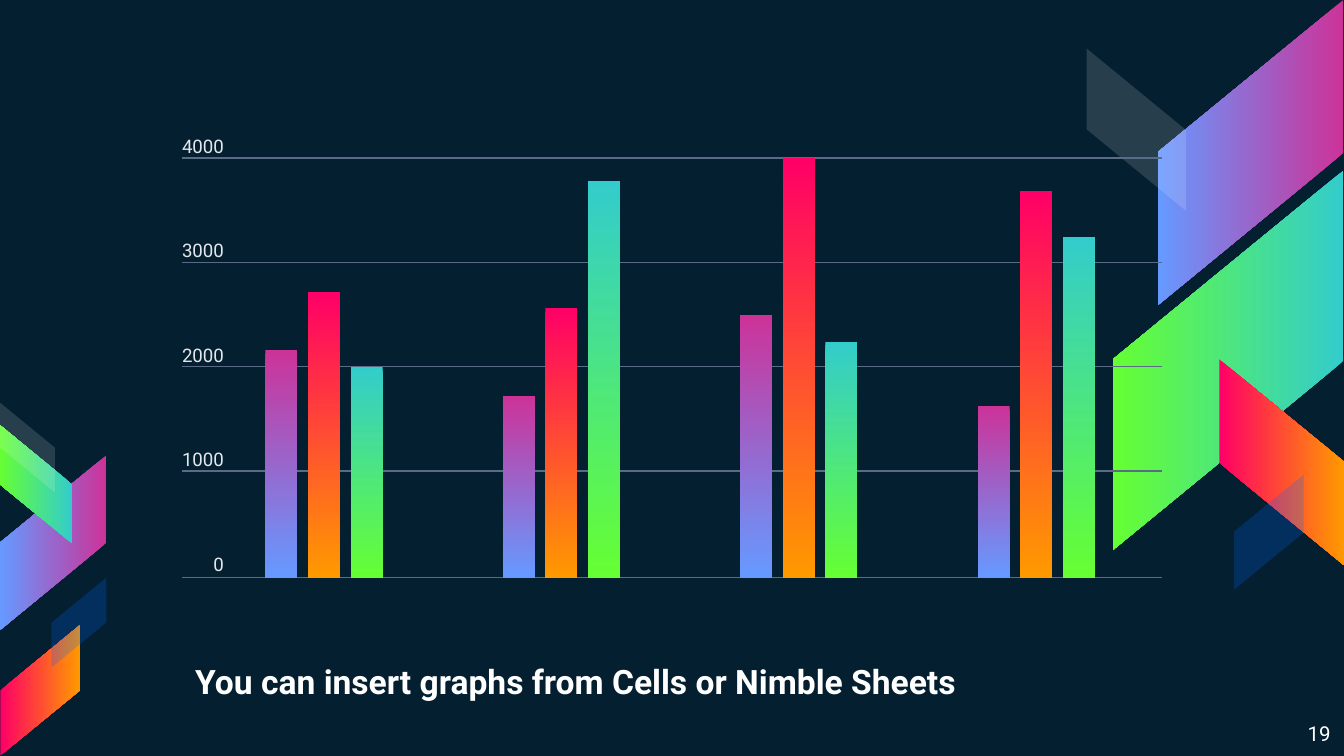
from lxml.etree import SubElement
from pptx import Presentation
from pptx.chart.data import CategoryChartData
from pptx.dml.color import RGBColor
from pptx.enum.chart import XL_CHART_TYPE
from pptx.enum.shapes import MSO_CONNECTOR, MSO_SHAPE
from pptx.enum.text import PP_ALIGN
from pptx.oxml import parse_xml
from pptx.oxml.ns import nsdecls, qn
from pptx.util import Cm, Pt

COLORS = {
    "background": "041F30", "white": "FFFFFF", "blue": "0066FF",
    "grid": "5A6B85", "label": "E3E7EC",
    "magenta": "CC3399", "periwinkle": "6699FF",
    "pink": "FF0066", "orange": "FF9900",
    "teal": "33CCCC", "lime": "66FF33",
}
VIOLET = ("magenta", "periwinkle")
FIRE = ("pink", "orange")
FRESH = ("teal", "lime")
FONT = "Roboto"

RIBBONS = [
    (20.75, 1.13, 5.77, 3.51, 90, True, VIOLET),
    (19.63, 4.64, 7.16, 4.34, 90, True, FRESH),
    (22.28, 7.56, 3.89, 2.36, 270, False, FIRE),
    (19.94, 1.51, 3.07, 1.88, 270, False, ("white", 14)),
    (22.89, 9.4, 2.18, 1.32, 270, True, ("blue", 23)),
    (-0.64, 9.25, 3.3, 2.01, 90, True, VIOLET),
    (-0.44, 8.47, 2.24, 1.37, 90, False, FRESH),
    (-0.47, 12.3, 2.46, 1.5, 270, True, FIRE),
    (-0.33, 7.94, 1.7, 1.04, 270, False, ("white", 14)),
    (0.64, 11.25, 1.7, 1.04, 270, True, ("blue", 23)),
]
SERIES = [
    (VIOLET, (2170, 1730, 2500, 1640)),
    (FIRE, (2720, 2570, 4000, 3690)),
    (FRESH, (2010, 3780, 2250, 3250)),
]
TICKS = (4000, 3000, 2000, 1000, 0)
GRID_LEFT, GRID_RIGHT = 3.44, 21.96
GRID_TOP, GRID_STEP, BASELINE = 2.99, 1.97, 10.92


def color(name):
    return RGBColor.from_string(COLORS[name])


def fill_gradient(fill, names):
    fill.gradient()
    fill.gradient_angle = 270
    for stop, name in zip(fill.gradient_stops, names):
        stop.color.rgb = color(name)


def fill_translucent(shape, name, percent):
    shape.fill.solid()
    shape.fill.fore_color.rgb = color(name)
    rgb = shape._element.spPr.find(qn("a:solidFill")).find(qn("a:srgbClr"))
    SubElement(rgb, qn("a:alpha")).set("val", str(percent * 1000))


def add_ribbon(slide, left, top, width, height, rotation, flipped, paint):
    shape = slide.shapes.add_shape(
        MSO_SHAPE.PARALLELOGRAM, Cm(left), Cm(top), Cm(width), Cm(height))
    shape.adjustments[0] = 0.82
    shape.rotation = rotation
    shape.shadow.inherit = False
    shape.line.fill.background()
    if flipped:
        shape._element.spPr.xfrm.set("flipH", "1")
    if paint in (VIOLET, FIRE, FRESH):
        fill_gradient(shape.fill, paint)
    else:
        fill_translucent(shape, *paint)


def add_grid_line(slide, y):
    line = slide.shapes.add_connector(
        MSO_CONNECTOR.STRAIGHT, Cm(GRID_LEFT), Cm(y), Cm(GRID_RIGHT), Cm(y))
    line.line.color.rgb = color("grid")
    line.line.width = Pt(0.75)
    SubElement(line._element.spPr, qn("a:effectLst"))


def add_text(slide, left, top, width, height, lines, size, color_name,
             margin=0.25, align=PP_ALIGN.LEFT, bold=False, first_gap=0, gap=0):
    frame = slide.shapes.add_textbox(
        Cm(left), Cm(top), Cm(width), Cm(height)).text_frame
    frame.word_wrap = True
    frame.margin_left = frame.margin_right = Cm(margin)
    frame.margin_top = frame.margin_bottom = Cm(margin)
    frame.text = "\n".join(lines)
    for index, paragraph in enumerate(frame.paragraphs):
        paragraph.alignment = align
        paragraph.space_before = Pt(gap if index else first_gap)
        paragraph.font.name = FONT
        paragraph.font.size = Pt(size)
        paragraph.font.bold = bold
        paragraph.font.color.rgb = color(color_name)


def fill_frame_with_plot(chart):
    plot_area = chart._chartSpace.chart.plotArea
    for layout in plot_area.findall(qn("c:layout")):
        plot_area.remove(layout)
    plot_area.insert(0, parse_xml(
        f'<c:layout {nsdecls("c")}><c:manualLayout><c:layoutTarget val="inner"/>'
        '<c:xMode val="edge"/><c:yMode val="edge"/><c:x val="0"/><c:y val="0"/>'
        '<c:w val="1"/><c:h val="1"/></c:manualLayout></c:layout>'))


def add_bar_chart(slide):
    data = CategoryChartData()
    data.categories = ["1", "2", "3", "4"]
    for number, (_, values) in enumerate(SERIES, 1):
        data.add_series(f"Series {number}", values)
    chart = slide.shapes.add_chart(
        XL_CHART_TYPE.COLUMN_CLUSTERED, Cm(3.88), Cm(GRID_TOP),
        Cm(17.95), Cm(BASELINE - GRID_TOP), data).chart
    chart.has_legend = False
    chart.has_title = False
    chart.font.name = FONT
    chart.font.size = Pt(10)
    chart.font.color.rgb = color("label")
    chart.value_axis.minimum_scale = 0
    chart.value_axis.maximum_scale = 4000
    chart.value_axis.major_unit = 1000
    chart.value_axis.has_major_gridlines = False
    chart.value_axis.visible = False
    chart.category_axis.visible = False
    plot = chart.plots[0]
    plot.vary_by_categories = False
    plot.gap_width = 375
    plot.overlap = -33
    for series, (paint, _) in zip(plot.series, SERIES):
        fill_gradient(series.format.fill, paint)
    fill_frame_with_plot(chart)


def main():
    presentation = Presentation()
    presentation.slide_width = Cm(25.4)
    presentation.slide_height = Cm(14.29)
    slide = presentation.slides.add_slide(presentation.slide_layouts[6])
    slide.background.fill.solid()
    slide.background.fill.fore_color.rgb = color("background")

    for ribbon in RIBBONS:
        add_ribbon(slide, *ribbon)
    add_text(slide, 3.44, 12.24, 18.54, 1.45,
             ["You can insert graphs from Cells or Nimble Sheets"],
             18, "white", bold=True, first_gap=3.6)
    add_text(slide, 23.77, 13.39, 1.63, 0.91, ["19"], 11, "white",
             align=PP_ALIGN.RIGHT)
    for index in range(len(TICKS) - 1):
        add_grid_line(slide, GRID_TOP + index * GRID_STEP)
    add_grid_line(slide, BASELINE)
    add_text(slide, 3.41, 2.54, 0.82, 8.41, [str(tick) for tick in TICKS],
             10, "label", margin=0, align=PP_ALIGN.RIGHT, gap=44)
    add_bar_chart(slide)
    presentation.save("out.pptx")


if __name__ == "__main__":
    main()
